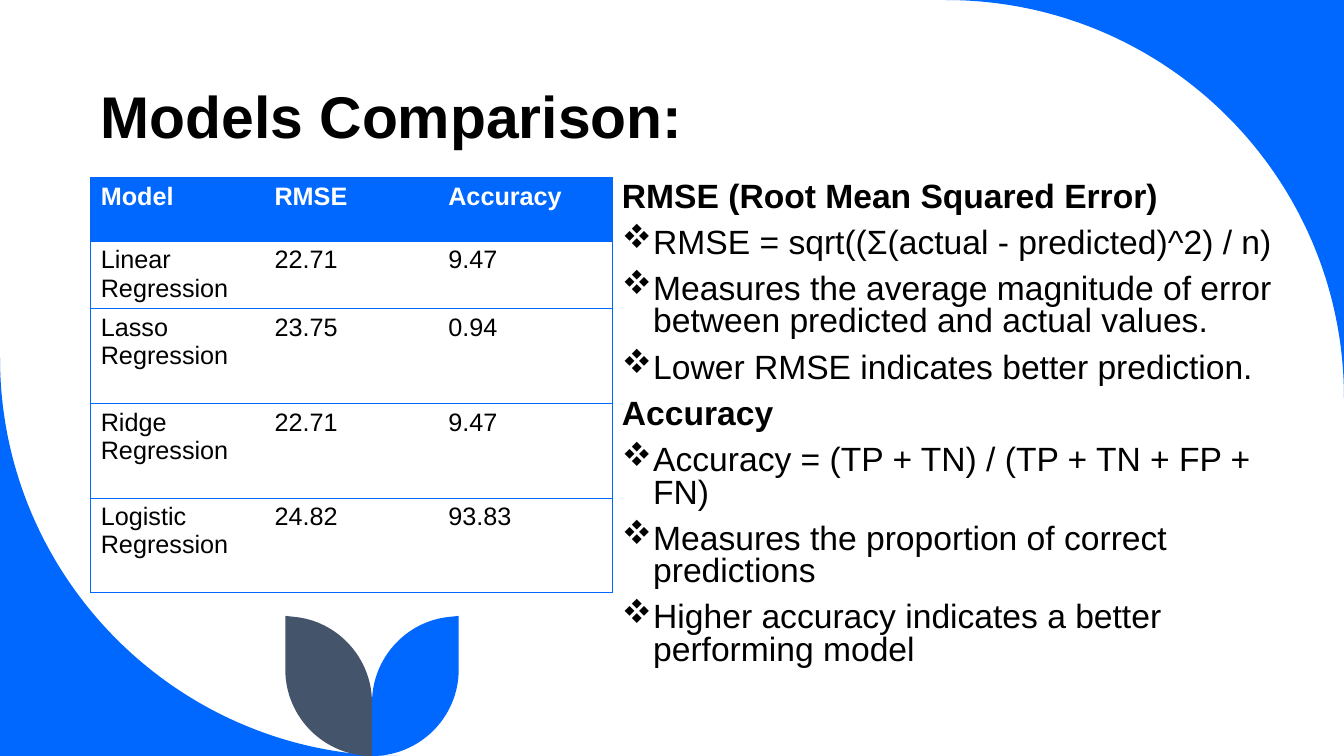
import lxml.etree
import pptx
import pptx.dml.color
import pptx.enum.text
import pptx.oxml
import pptx.oxml.ns
import pptx.util
from pptx.util import Inches

BLUE = pptx.dml.color.RGBColor(0x00, 0x68, 0xFF)
SLATE = pptx.dml.color.RGBColor(0x44, 0x54, 0x6A)
BLACK = pptx.dml.color.RGBColor(0x00, 0x00, 0x00)
WHITE = pptx.dml.color.RGBColor(0xFF, 0xFF, 0xFF)
NAMESPACE = pptx.oxml.ns.nsdecls("a")

deck = pptx.Presentation()
deck.slide_width = Inches(13.33)
deck.slide_height = Inches(7.5)
slide = deck.slides.add_slide(deck.slide_layouts[5])


def add_outline(start, segments, color):
    """Fill an outline; a segment is one line end or three Bézier points."""
    builder = slide.shapes.build_freeform(Inches(start[0]), Inches(start[1]))
    builder.add_line_segments(
        [(Inches(x), Inches(y)) for segment in segments for x, y in segment], close=True)
    shape = builder.convert_to_shape()
    lines = iter(shape._element.xpath(".//a:lnTo"))
    for segment in segments:
        first = next(lines)
        if len(segment) == 3:
            first.tag = pptx.oxml.ns.qn("a:cubicBezTo")
            for _ in range(2):
                line = next(lines)
                first.append(line[0])
                line.getparent().remove(line)
    shape.shadow.inherit = False
    shape.fill.solid()
    shape.fill.fore_color.rgb = color
    shape.line.fill.background()


def style_run(run, size, color, bold):
    run.font.name = "Arial"
    run.font.size = pptx.util.Pt(size)
    run.font.color.rgb = color
    run.font.bold = bold


# Corner sweeps
add_outline((13.33, 0), [[(13.33, 3.95)], [(13.33, 1.77), (11.57, 0), (9.38, 0)]], BLUE)
add_outline((0, 3.55), [[(0, 5.73), (1.77, 7.5), (3.95, 7.5)], [(0, 7.5)]], BLUE)

# Two leaves, mirrored about the stem
STEM = 3.69
for side, color in ((1, BLUE), (-1, SLATE)):
    tip, bend, inner, shoulder = (STEM + side * reach for reach in (0.86, 0.47, 0.34, 0.77))
    add_outline((tip, 6.11), [
        [(tip, 6.64)],
        [(tip, 7.12), (bend, 7.5), (STEM, 7.5)],
        [(STEM, 6.97)],
        [(STEM, 6.53), (inner, 6.16), (shoulder, 6.12)],
    ], color)

# Title
title = slide.shapes.title
title.left, title.top = Inches(0.9), Inches(0.5)
title.width, title.height = Inches(11.67), Inches(1.04)
title.text_frame.text = "Models Comparison:"
title.text_frame.vertical_anchor = pptx.enum.text.MSO_ANCHOR.BOTTOM
para = title.text_frame.paragraphs[0]
para.alignment = pptx.enum.text.PP_ALIGN.LEFT
para.line_spacing = 0.8
style_run(para.runs[0], 42, BLACK, True)

# Table of scores
scores = [
    ("Model", "RMSE", "Accuracy"),
    ("Linear Regression", "22.71", "9.47"),
    ("Lasso Regression", "23.75", "0.94"),
    ("Ridge Regression", "22.71", "9.47"),
    ("Logistic Regression", "24.82", "93.83"),
]
row_heights = [0.63, 0.67, 0.94, 0.94, 0.94]
table = slide.shapes.add_table(
    len(scores), 3, Inches(0.9), Inches(1.76), Inches(5.17), Inches(sum(row_heights))
).table
table.horz_banding = False
for row, height in zip(table.rows, row_heights):
    row.height = Inches(height)
for row_index, values in enumerate(scores):
    is_header = row_index == 0
    for column_index, value in enumerate(values):
        cell = table.cell(row_index, column_index)
        cell.text_frame.text = value
        style_run(cell.text_frame.paragraphs[0].runs[0], 18,
                  WHITE if is_header else BLACK, is_header)
        visible = {"L": column_index == 0, "R": column_index == 2, "T": True, "B": True}
        properties = cell._tc.get_or_add_tcPr()
        for side, shown in visible.items():
            paint = (f'<a:solidFill><a:srgbClr val="{BLUE}"/></a:solidFill>'
                     if shown else "<a:noFill/>")
            properties.append(pptx.oxml.parse_xml(
                f'<a:ln{side} {NAMESPACE} w="6350">{paint}</a:ln{side}>'))
        if is_header:
            cell.fill.solid()
            cell.fill.fore_color.rgb = BLUE
        else:
            cell.fill.background()

# Explanation of the two measures
notes = [
    ("RMSE (Root Mean Squared Error)", True),
    ("RMSE = sqrt((Σ(actual - predicted)^2) / n)", False),
    ("Measures the average magnitude of error between predicted and actual values.", False),
    ("Lower RMSE indicates better prediction.", False),
    ("Accuracy", True),
    ("Accuracy = (TP + TN) / (TP + TN + FP + FN)", False),
    ("Measures the proportion of correct predictions", False),
    ("Higher accuracy indicates a better performing model", False),
]
box = slide.shapes.add_textbox(Inches(6.07), Inches(1.76), Inches(7.02), Inches(4.9))
frame = box.text_frame
frame.word_wrap = True
for index, (text, is_heading) in enumerate(notes):
    para = frame.add_paragraph() if index else frame.paragraphs[0]
    para.text = text
    para.line_spacing = 0.8
    para.space_before = pptx.util.Pt(10)
    style_run(para.runs[0], 24, BLACK, is_heading)
    if not is_heading:
        properties = para._p.get_or_add_pPr()
        properties.set("marL", str(Inches(0.31)))
        properties.set("indent", str(-Inches(0.31)))
        font = lxml.etree.SubElement(properties, pptx.oxml.ns.qn("a:buFont"))
        font.set("typeface", "Wingdings")
        font.set("charset", "2")
        bullet = lxml.etree.SubElement(properties, pptx.oxml.ns.qn("a:buChar"))
        bullet.set("char", "v")

deck.save("out.pptx")
